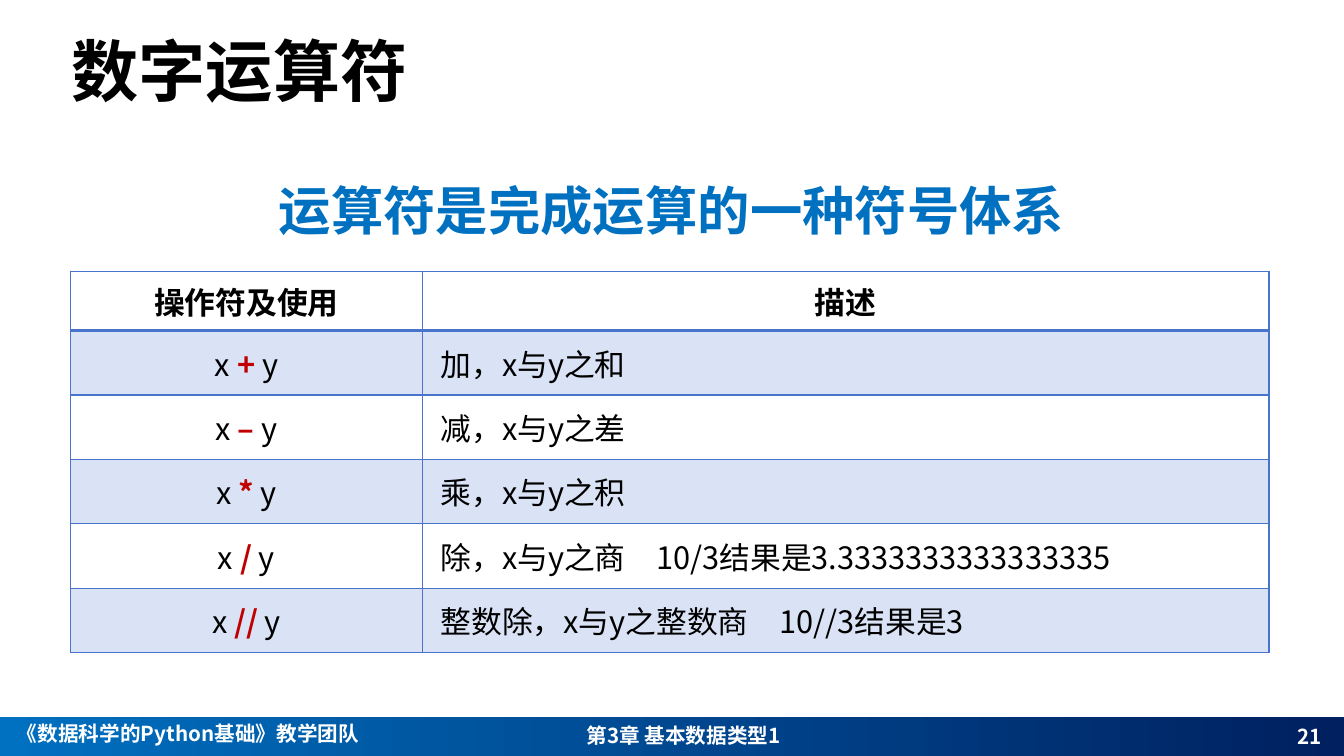
from pptx import Presentation
from pptx.dml.color import RGBColor
from pptx.enum.shapes import MSO_SHAPE as Shape
from pptx.enum.text import MSO_ANCHOR as Anchor, MSO_AUTO_SIZE as Fit, PP_ALIGN as Align
from pptx.oxml.ns import qn
from pptx.util import Pt
from lxml.etree import SubElement

FONT = "Noto Sans CJK SC"
BLUE, LINE, BAND, RED = "0070C0", "4874CB", "DAE3F5", "C00000"


def color(code):
    return RGBColor.from_string(code)


def write(frame, *runs, size=22, ink="000000", bold=False, align=Align.LEFT,
          anchor=Anchor.TOP, space=None):
    """Fill a text frame; a run given as (text, colour) is bold in that colour."""
    frame.word_wrap = True
    frame.vertical_anchor = anchor
    para = frame.paragraphs[0]
    para.alignment = align
    para.line_spacing = space
    for part in runs:
        text, tint, heavy = (part, ink, bold) if isinstance(part, str) else (*part, True)
        run = para.add_run()
        run.text = text
        font = run.font
        font.name, font.size, font.bold = FONT, Pt(size), heavy
        font.color.rgb = color(tint)
        SubElement(font._element, qn("a:ea"), typeface=FONT)


deck = Presentation()
deck.slide_width, deck.slide_height = Pt(960), Pt(540)
slide = deck.slides.add_slide(deck.slide_layouts[6])
shapes = slide.shapes

# Footer bar
bar = shapes.add_shape(Shape.RECTANGLE, Pt(0), Pt(512), Pt(960), Pt(28))
bar.shadow.inherit = False
bar.line.fill.background()
bar.fill.gradient()
bar.fill.gradient_angle = 0
for stop, code in zip(bar.fill.gradient_stops, (BLUE, "002060")):
    stop.color.rgb = color(code)

# Text boxes: place, insets (side, top), whether the box fits its text, text, format
foot = dict(size=14.7, ink="FFFFFF", bold=True)
boxes = [
    ((737.3, 512, 216, 28), (9.4, 5), False, "21",
     dict(foot, align=Align.RIGHT, anchor=Anchor.MIDDLE)),
    ((0, 511.2, 268.6, 25.2), (7.2, 3.6), True, "《数据科学的Python基础》教学团队",
     dict(foot, align=Align.CENTER)),
    ((411.8, 512.6, 205.2, 25.2), (7.2, 3.6), True, "第3章 基本数据类型1", foot),
    ((51.1, 15.1, 903.6, 84.2), (0, 0), False, "数字运算符",
     dict(size=48, bold=True, anchor=Anchor.MIDDLE, space=0.7)),
    ((0, 123.8, 960, 52.6), (7.2, 3.6), True, "运算符是完成运算的一种符号体系",
     dict(size=37.4, ink=BLUE, bold=True, align=Align.CENTER)),
]
for place, (side, top), fits, text, style in boxes:
    frame = shapes.add_textbox(*map(Pt, place)).text_frame
    frame.margin_left = frame.margin_right = Pt(side)
    frame.margin_top = frame.margin_bottom = Pt(top)
    write(frame, text, **style)
    frame.auto_size = Fit.SHAPE_TO_FIT_TEXT if fits else Fit.NONE

# Operator table
rows = [
    ("+", "加，x与y之和"),
    ("–", "减，x与y之差"),
    ("*", "乘，x与y之积"),
    ("/", "除，x与y之商　10/3结果是3.3333333333333335"),
    ("//", "整数除，x与y之整数商　10//3结果是3"),
]
table = shapes.add_table(len(rows) + 1, 2, Pt(50.4), Pt(193.7), Pt(856.1), Pt(272.5)).table
table.first_row = table.horz_banding = False
for col, width in zip(table.columns, (251.3, 604.8)):
    col.width = Pt(width)
for i, row in enumerate(table.rows):
    row.height = Pt(46 if i else 42.5)
    for j, cell in enumerate(row.cells):
        cell.margin_left = Pt(13 if i and j else 3)
        cell.margin_right = Pt(3)
        cell.margin_top = cell.margin_bottom = Pt(1.5)
        cell.vertical_anchor = Anchor.MIDDLE
        for edge in "LRTB":
            thick = (i, edge) in ((0, "B"), (1, "T"))
            line = SubElement(cell._tc.get_or_add_tcPr(), qn("a:ln" + edge),
                              w=str(Pt(2 if thick else 1)))
            SubElement(SubElement(line, qn("a:solidFill")), qn("a:srgbClr"), val=LINE)
        if i % 2:
            cell.fill.solid()
            cell.fill.fore_color.rgb = color(BAND)
        else:
            cell.fill.background()
        frame = cell.text_frame
        if i == 0:
            write(frame, ("操作符及使用", "描述")[j], bold=True, align=Align.CENTER,
                  anchor=None)
        elif j == 0:
            write(frame, "x ", (rows[i - 1][0], RED), " y", align=Align.CENTER, anchor=None)
        else:
            write(frame, rows[i - 1][1], anchor=None)

deck.save("out.pptx")
